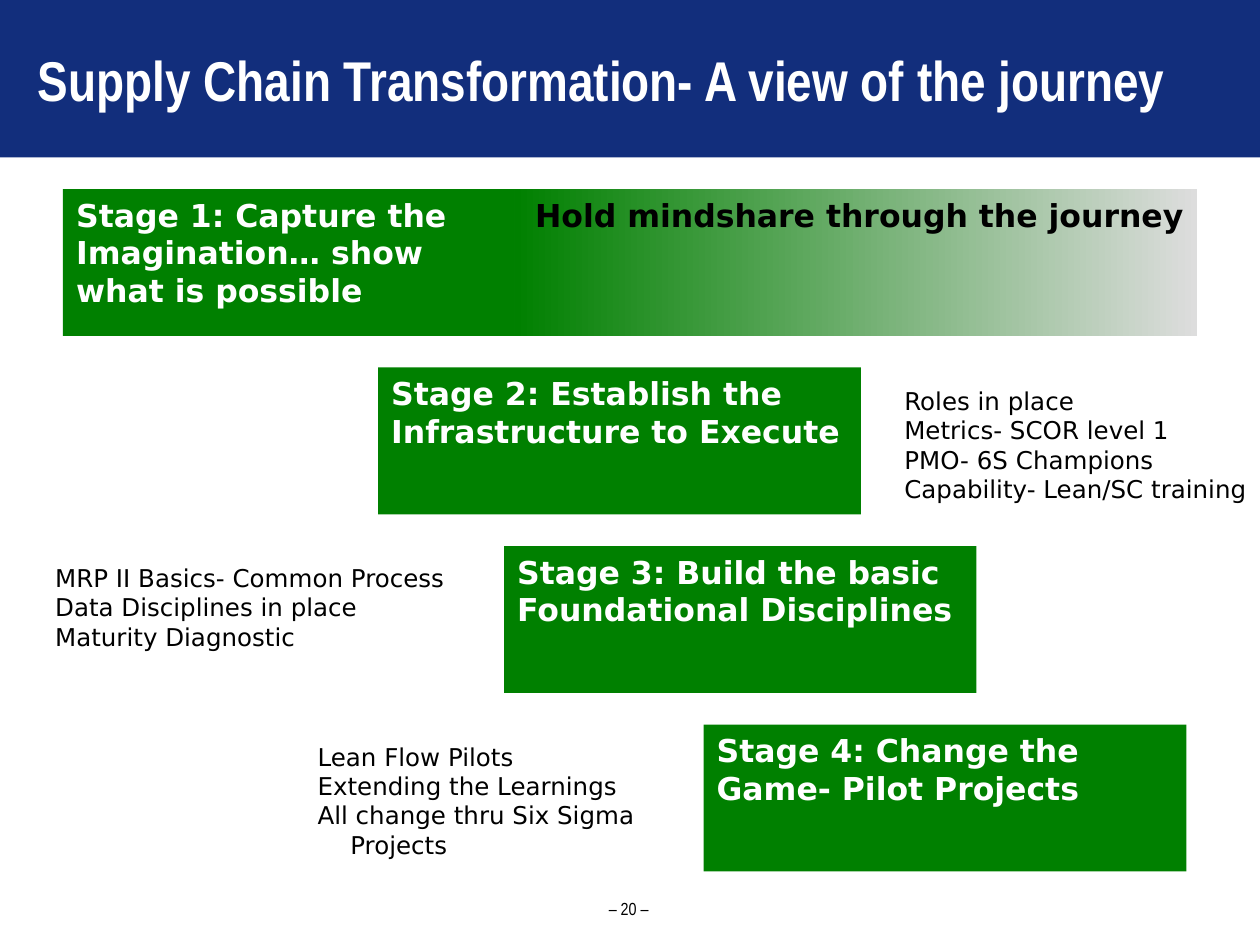
from pptx import Presentation
from pptx.dml.color import RGBColor
from pptx.enum.shapes import MSO_SHAPE as Preset
from pptx.enum.text import MSO_ANCHOR as Anchor, PP_ALIGN as Align
from pptx.util import Emu, Pt

PX = 9525
NAVY = RGBColor(0x12, 0x2E, 0x7C)
GREEN = RGBColor(0x00, 0x80, 0x00)
SILVER = RGBColor(0xDD, 0xDD, 0xDD)
WHITE = RGBColor(0xFF, 0xFF, 0xFF)
BLACK = RGBColor(0x00, 0x00, 0x00)

TITLE_FONT = {"name": "Arial Narrow", "size": Pt(32), "bold": True}
STAGE_FONT = {"name": "DejaVu Sans", "size": Pt(18), "bold": True}
NOTE_FONT = {"name": "DejaVu Sans", "size": Pt(14), "bold": False}
NUMBER_FONT = {"name": "Arial Narrow", "size": Pt(10), "bold": False}

STAGE_TOP, STAGE_STEP, STAGE_HEIGHT = 144, 136, 112
MINDSHARE_LEFT, MINDSHARE_WIDTH = 392, 520
HANGING = 25

STAGES = [
    (48, 344, "Stage 1: Capture the Imagination… show what is possible"),
    (288, 368, "Stage 2: Establish the Infrastructure to Execute"),
    (384, 360, "Stage 3: Build the basic Foundational Disciplines"),
    (536, 368, "Stage 4: Change the Game- Pilot Projects"),
]

NOTES = [
    ((679, 289, 288, 100), 0,
     ["Roles in place", "Metrics- SCOR level 1", "PMO- 6S Champions",
      "Capability- Lean/SC training"]),
    ((32, 424, 360, 77), HANGING,
     ["MRP II Basics- Common Process", "Data Disciplines in place",
      "Maturity Diagnostic"]),
    ((232, 560, 288, 100), HANGING,
     ["Lean Flow Pilots", "Extending the Learnings",
      "All change thru Six Sigma Projects"]),
]


def px(length):
    return Emu(length * PX)


def write(shape, lines, font, color, align=Align.LEFT, anchor=Anchor.TOP,
          inset=10, hanging=0):
    frame = shape.text_frame
    frame_format = {
        "word_wrap": True, "vertical_anchor": anchor,
        "margin_left": px(inset), "margin_right": px(inset),
        "margin_top": px(5), "margin_bottom": px(5),
    }
    for name, value in frame_format.items():
        setattr(frame, name, value)
    for index, line in enumerate(lines):
        para = frame.add_paragraph() if index else frame.paragraphs[0]
        para.alignment = align
        if hanging:
            properties = para._p.get_or_add_pPr()
            properties.set("marL", str(px(hanging)))
            properties.set("indent", str(px(-hanging)))
        span = para.add_run()
        span.text = line
        for name, value in font.items():
            setattr(span.font, name, value)
        span.font.color.rgb = color


def add_block(page, box, fill):
    block = page.shapes.add_shape(Preset.RECTANGLE, *map(px, box))
    block.shadow.inherit = False
    block.line.fill.background()
    block.fill.solid()
    block.fill.fore_color.rgb = fill
    return block


def add_title(page, box):
    band = add_block(page, box, NAVY)
    write(band, ["Supply Chain Transformation- A view of the journey"],
          TITLE_FONT, WHITE, anchor=Anchor.MIDDLE, inset=29)


def add_stage(page, box, label):
    write(add_block(page, box, GREEN), [label], STAGE_FONT, WHITE)


def add_mindshare(page, box):
    fade = add_block(page, box, GREEN)
    fade.fill.gradient()
    fade.fill.gradient_angle = 180
    for stop, color in zip(fade.fill.gradient_stops, (SILVER, GREEN)):
        stop.color.rgb = color
    write(fade, ["Hold mindshare through the journey"],
          STAGE_FONT, BLACK, align=Align.RIGHT)


def add_note(page, box, lines, hanging):
    note = page.shapes.add_textbox(*map(px, box))
    write(note, lines, NOTE_FONT, BLACK, hanging=hanging)


def add_page_number(page, box):
    number = page.shapes.add_textbox(*map(px, box))
    write(number, ["– 20 –"], NUMBER_FONT, BLACK, align=Align.CENTER)


def main():
    deck = Presentation()
    deck.slide_width, deck.slide_height = px(960), px(720)
    page = deck.slides.add_slide(deck.slide_layouts[6])

    add_page_number(page, (398, 679, 162, 42))
    add_title(page, (0, 0, 960, 120))
    for index, (left, width, label) in enumerate(STAGES):
        top = STAGE_TOP + index * STAGE_STEP
        add_stage(page, (left, top, width, STAGE_HEIGHT), label)
    add_mindshare(page, (MINDSHARE_LEFT, STAGE_TOP, MINDSHARE_WIDTH, STAGE_HEIGHT))
    for box, hanging, lines in NOTES:
        add_note(page, box, lines, hanging)

    deck.save("out.pptx")


if __name__ == "__main__":
    main()
